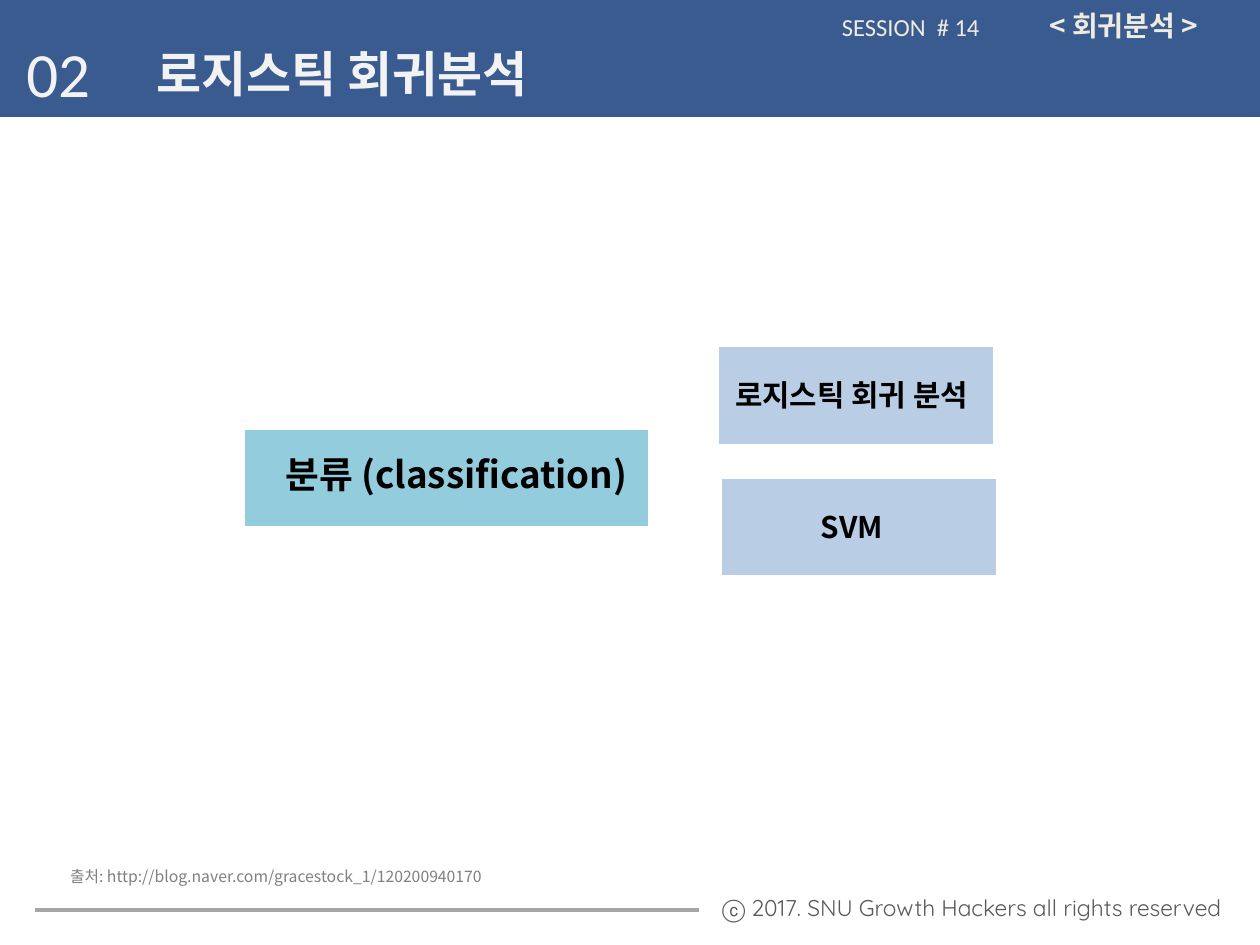
from pptx import Presentation
from pptx.dml.color import RGBColor
from pptx.enum.shapes import MSO_CONNECTOR, MSO_SHAPE
from pptx.enum.text import MSO_ANCHOR, MSO_AUTO_SIZE, PP_ALIGN
from pptx.oxml.ns import qn
from pptx.util import Pt

RECTANGLE = MSO_SHAPE.RECTANGLE
STRAIGHT = MSO_CONNECTOR.STRAIGHT
TOP = MSO_ANCHOR.TOP
NO_FIT = MSO_AUTO_SIZE.NONE
LEFT = PP_ALIGN.LEFT

KOREAN = "Noto Sans CJK KR"
LATIN = "Calibri"
ROUNDED = "Quicksand"
NAVY = "3A5B90"
TEAL = "93CDDD"
PALE_BLUE = "B9CDE5"
WHITE = "FFFFFF"
OFF_WHITE = "F2F2F2"
CREAM = "EEECE1"
BLACK = "000000"


def color(value):
    return RGBColor.from_string(value)


def write(shape, text, size, font, ink, bold=False):
    frame = shape.text_frame
    frame.text = text
    frame.word_wrap = True
    frame.auto_size = NO_FIT
    frame.vertical_anchor = TOP
    para = frame.paragraphs[0]
    para.alignment = LEFT
    span = para.runs[0]
    span.font.size = Pt(size)
    span.font.name = font
    span.font.bold = bold
    span.font.color.rgb = color(ink)
    east_asian = span.font._element.makeelement(qn("a:ea"), {"typeface": font})
    span.font._element.append(east_asian)


def add_text(page, box, text, size, font, ink, bold=False):
    shape = page.shapes.add_textbox(*map(Pt, box))
    write(shape, text, size, font, ink, bold)


def add_block(page, box, fill, outline):
    block = page.shapes.add_shape(RECTANGLE, *map(Pt, box))
    block.shadow.inherit = False
    block.fill.solid()
    block.fill.fore_color.rgb = color(fill)
    block.line.color.rgb = color(outline)
    block.line.width = Pt(2)
    return block


def add_header(page, box):
    left, top, width, height = box
    banner = add_block(page, box, NAVY, NAVY)
    title = page.shapes.title
    title.element.addprevious(banner.element)
    title.left, title.top = Pt(left + 82), Pt(top + 23)
    title.width, title.height = Pt(300), Pt(41)
    write(title, "로지스틱 회귀분석", 28, KOREAN, OFF_WHITE, True)
    add_text(page, (left + 8, top + 18, 66, 51), "02", 36, LATIN, OFF_WHITE)
    add_text(page, (left + 592.5, top + 3.5, 101, 27), "< 회귀분석 >", 16, KOREAN, CREAM, True)
    add_text(page, (left + 474, top + 5.5, 118, 24), "SESSION  # 14", 14, LATIN, CREAM)


def add_diagram(page, box):
    left, top, width, height = box
    add_block(page, (left, top + 47, 232.5, 57), TEAL, WHITE)
    add_text(page, (left + 17, top + 57, 227, 32), "분류 (classification)", 21, KOREAN, BLACK, True)
    methods = [
        ("로지스틱 회귀 분석", 271, 0, 274),
        ("SVM", 272.5, 75, 323),
    ]
    for name, block_left, offset, text_left in methods:
        add_block(page, (left + block_left, top + offset, 158.5, 57), PALE_BLUE, WHITE)
        add_text(page, (left + text_left, top + offset + 14.5, 164, 28), name, 17, KOREAN, BLACK, True)


def add_footer(page, box):
    left, top, width, height = box
    rule = page.shapes.add_connector(STRAIGHT, Pt(left), Pt(top + 28), Pt(left + 379.5), Pt(top + 28))
    rule.line.color.rgb = color("A6A6A6")
    rule.line.width = Pt(2.25)
    properties = rule.element.spPr
    properties.append(properties.makeelement(qn("a:effectLst"), {}))
    add_text(page, (left + 13, top, 360, 18),
             "출처: http://blog.naver.com/gracestock_1/120200940170", 9, KOREAN, "808080")
    add_text(page, (left + 385.5, top + 15, 312, 23),
             "ⓒ 2017. SNU Growth Hackers all rights reserved", 13, ROUNDED, "595959")


def main():
    deck = Presentation()
    deck.slide_width, deck.slide_height = Pt(720), Pt(540)
    page = deck.slides.add_slide(deck.slide_layouts[5])
    add_header(page, (0, -2, 720, 68))
    add_diagram(page, (139, 197.5, 431, 132))
    add_footer(page, (20, 492, 698, 38))
    deck.save("out.pptx")


if __name__ == "__main__":
    main()
